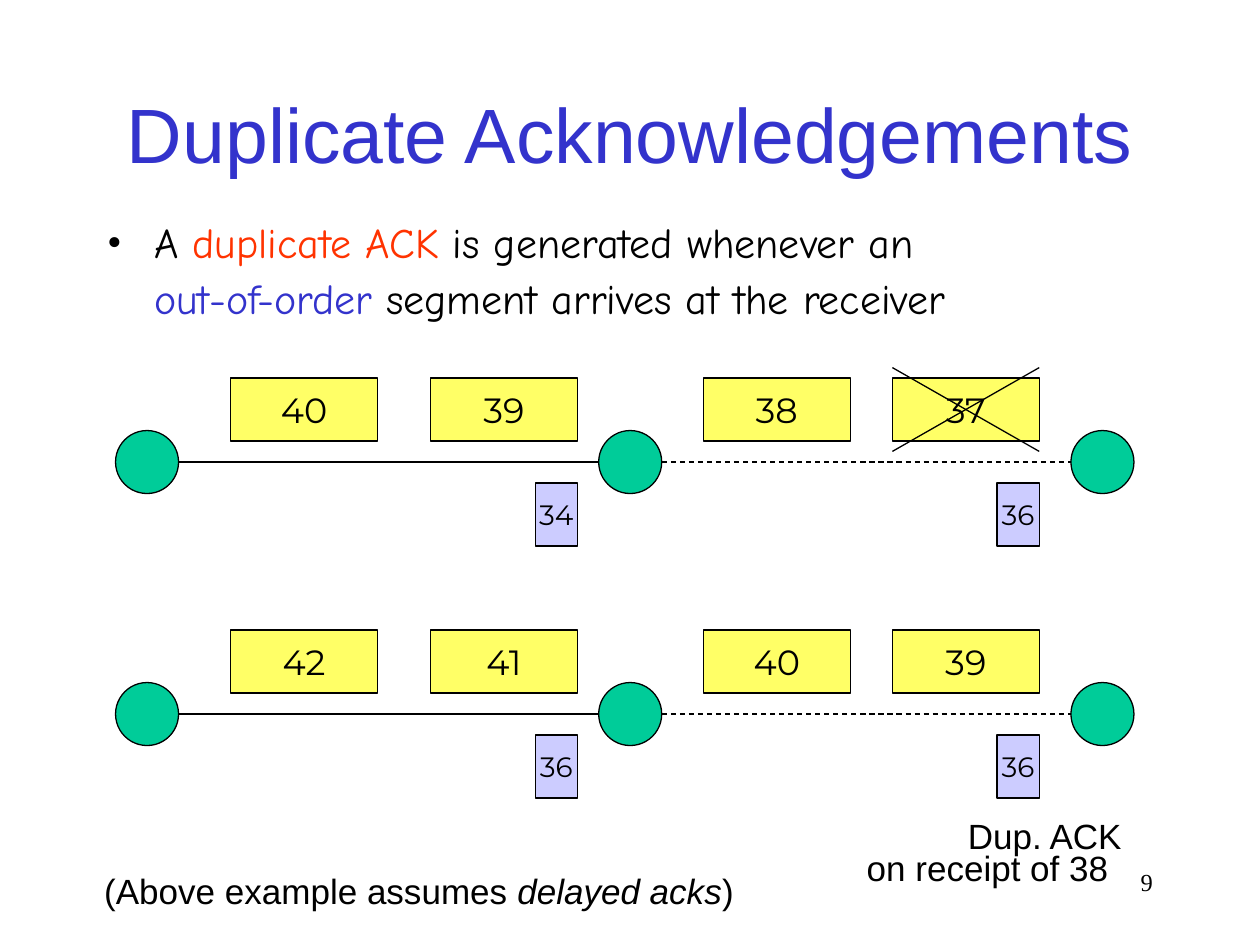
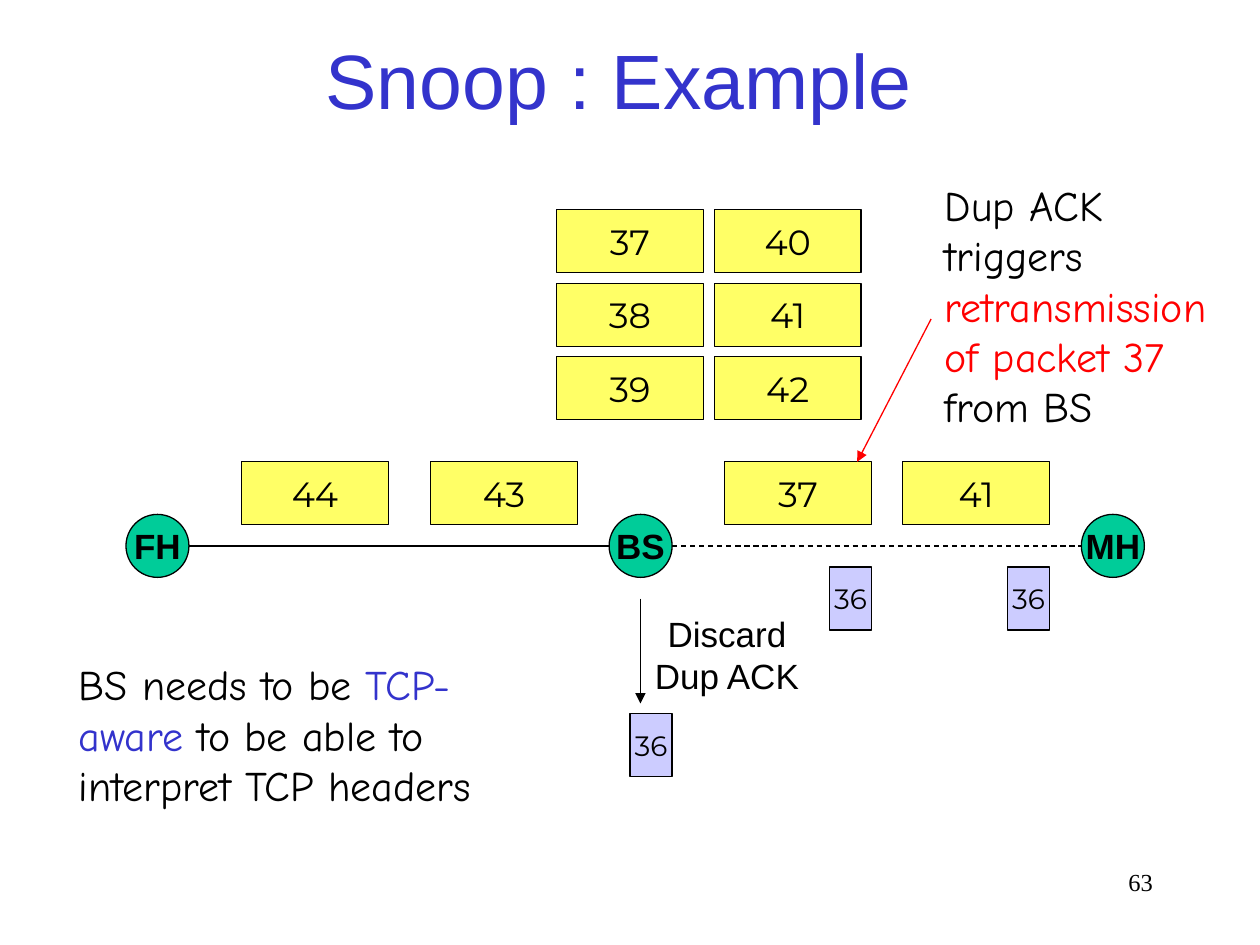
from pptx import Presentation
from pptx.dml.color import RGBColor
from pptx.enum.dml import MSO_LINE
from pptx.enum.shapes import MSO_CONNECTOR, MSO_SHAPE
from pptx.enum.text import MSO_ANCHOR, PP_ALIGN
from pptx.oxml.ns import qn
from pptx.util import Cm, Pt
from lxml import etree

LEFT, CENTER, RIGHT = PP_ALIGN.LEFT, PP_ALIGN.CENTER, PP_ALIGN.RIGHT
TOP, MIDDLE = MSO_ANCHOR.TOP, MSO_ANCHOR.MIDDLE
RECTANGLE, OVAL = MSO_SHAPE.RECTANGLE, MSO_SHAPE.OVAL
STRAIGHT, DASH = MSO_CONNECTOR.STRAIGHT, MSO_LINE.DASH

BLACK = RGBColor(0x00, 0x00, 0x00)
BLUE = RGBColor(0x33, 0x33, 0xCC)
ORANGE = RGBColor(0xFF, 0x33, 0x00)
RED = RGBColor(0xFF, 0x00, 0x00)
GREEN = RGBColor(0x00, 0xCC, 0x99)
YELLOW = RGBColor(0xFF, 0xFF, 0x66)
LILAC = RGBColor(0xCC, 0xCC, 0xFF)

# Text styles: font, size in points
TITLE = ("Arial", 44)
NOTE = ("Comic Neue", 24)
LABEL = ("Arial", 20)
PACKET = ("Montserrat", 20)
ACK = ("Montserrat", 16)
PAGE_NUMBER = ("Times New Roman", 14)

# Sizes in centimetres
SLIDE_W, SLIDE_H = 25.4, 19.05
NODE = 1.27
PACKET_W, PACKET_H = 2.96, 1.27
ACK_W = 0.85
NODE_OFFSETS = (0, 9.74, 19.26)
ROW_SHIFT = 1.06        # packets sit this far above the nodes, ACKs below
CROSS_MARGIN = 0.21

# Content: a paragraph is a list of (text, colour, italic) spans
DUPLICATE_TITLE = "Duplicate Acknowledgements"
DUPLICATE_BODY = [
    [("A ", BLACK, False), ("duplicate ACK ", ORANGE, False),
     ("is generated whenever an", BLACK, False)],
    [("out-of-order", BLUE, False),
     (" segment arrives at the receiver", BLACK, False)],
]
ASSUMPTION = [[("(Above example assumes ", BLACK, False),
               ("delayed acks", BLACK, True), (")", BLACK, False)]]

# A path: left, top, node names, packets as (left, number, ACK below or None)
DUPLICATE_PATHS = [
    (2.33, 8.68, ("", "", ""),
     [(4.65, "40", None), (8.68, "39", "34"), (14.18, "38", None), (17.99, "37", "36")]),
    (2.33, 13.76, ("", "", ""),
     [(4.65, "42", None), (8.68, "41", "36"), (14.18, "40", None), (17.99, "39", "36")]),
]
LOST_PACKET = (17.99, 7.62)

SNOOP_TITLE = "Snoop : Example"
SNOOP_PATH = (2.54, 10.37, ("FH", "BS", "MH"),
              [(4.87, "44", None), (8.68, "43", None), (14.61, "37", "36"), (18.2, "41", "36")])
CACHE_COLUMNS = [("37", "38", "39"), ("40", "41", "42")]
CACHE_LEFT, CACHE_TOP = 11.22, 4.23
CACHE_STEP_X, CACHE_STEP_Y = 3.18, 1.48
RETRANSMISSION = [[("Dup ACK triggers ", BLACK, False),
                   ("retransmission of packet 37", RED, False),
                   (" from BS", BLACK, False)]]
AWARENESS = [[("BS needs to be ", BLACK, False), ("TCP-aware", BLUE, False),
              (" to be able to interpret TCP headers", BLACK, False)]]


def plain(*lines, color=BLACK):
    return [[(line, color, False)] for line in lines]


def fill_text(frame, paragraphs, style, align, anchor, wrap, bold=False):
    font_name, size = style
    frame.word_wrap = wrap
    frame.vertical_anchor = anchor
    for index, spans in enumerate(paragraphs):
        para = frame.paragraphs[0] if index == 0 else frame.add_paragraph()
        para.alignment = align
        for text, color, italic in spans:
            span = para.add_run()
            span.text = text
            span.font.name = font_name
            span.font.size = Pt(size)
            span.font.color.rgb = color
            span.font.bold = bold
            span.font.italic = italic


def add_text(page, area, paragraphs, style, align=LEFT, anchor=TOP, wrap=True):
    box = page.shapes.add_textbox(*map(Cm, area))
    fill_text(box.text_frame, paragraphs, style, align, anchor, wrap)
    return box


def add_block(page, kind, area, color, text, style, bold=False):
    block = page.shapes.add_shape(kind, *map(Cm, area))
    block.shadow.inherit = False
    block.fill.solid()
    block.fill.fore_color.rgb = color
    block.line.color.rgb = BLACK
    block.line.width = Pt(0.75)
    if text:
        fill_text(block.text_frame, plain(text), style, CENTER, MIDDLE, False, bold)


def add_packet(page, left, top, number):
    add_block(page, RECTANGLE, (left, top, PACKET_W, PACKET_H), YELLOW, number, PACKET)


def add_ack(page, left, top, number):
    add_block(page, RECTANGLE, (left, top, ACK_W, PACKET_H), LILAC, number, ACK)


def add_line(page, x1, y1, x2, y2, color=BLACK, dashed=False, arrow=False):
    line = page.shapes.add_connector(STRAIGHT, Cm(x1), Cm(y1), Cm(x2), Cm(y2))
    line.line.color.rgb = color
    line.line.width = Pt(0.75)
    if dashed:
        line.line.dash_style = DASH
    if arrow:
        etree.SubElement(line.line._get_or_add_ln(), qn("a:tailEnd"), type="triangle")
    etree.SubElement(line._element.spPr, qn("a:effectLst"))


def add_path(page, left, top, names, packets):
    """Three nodes, a wired and a wireless link, packets above and ACKs below."""
    node_lefts = [left + offset for offset in NODE_OFFSETS]
    for node_left, name in zip(node_lefts, names):
        add_block(page, OVAL, (node_left, top, NODE, NODE), GREEN, name, LABEL, bold=True)
    link_y = top + NODE / 2
    for start, end, dashed in zip(node_lefts, node_lefts[1:], (False, True)):
        add_line(page, start + NODE, link_y, end, link_y, dashed=dashed)
    for packet_left, number, ack in packets:
        add_packet(page, packet_left, top - ROW_SHIFT, number)
        if ack:
            add_ack(page, packet_left + PACKET_W - ACK_W, top + ROW_SHIFT, ack)


def add_page(deck, title, title_area, number):
    page = deck.slides.add_slide(deck.slide_layouts[6])
    add_text(page, (18.2, 17.36, 5.29, 1.27), plain(number), PAGE_NUMBER, RIGHT)
    add_text(page, title_area, plain(title, color=BLUE), TITLE, CENTER, MIDDLE)
    return page


def add_bullet(para, indent):
    """Indent a paragraph by hanging it on a bullet."""
    props = para._p.get_or_add_pPr()
    props.set("indent", str(-indent))
    color = etree.SubElement(etree.SubElement(props, qn("a:buClr")), qn("a:srgbClr"))
    color.set("val", str(BLACK))
    etree.SubElement(props, qn("a:buFont"), typeface="Times New Roman")
    etree.SubElement(props, qn("a:buChar"), char="•")


def build_duplicate_page(deck):
    page = add_page(deck, DUPLICATE_TITLE, (1.91, 1.7, 21.59, 1.96), "9")

    # Statement: one bullet, with its second line aligned to the text
    body = add_text(page, (1.91, 4.35, 21.59, 2.41), DUPLICATE_BODY, NOTE)
    indent = Cm(0.95)
    for para in body.text_frame.paragraphs:
        para.line_spacing = 0.9
        para.space_before = Pt(6)
        para._p.get_or_add_pPr().set("marL", str(indent))
    add_bullet(body.text_frame.paragraphs[0], indent)

    # Two moments of the same path
    for path_data in DUPLICATE_PATHS:
        add_path(page, *path_data)

    # Cross over the lost packet
    left, top = LOST_PACKET
    high, low = top - CROSS_MARGIN, top + PACKET_H + CROSS_MARGIN
    for start, end in ((high, low), (low, high)):
        add_line(page, left, start, left + PACKET_W, end)

    # Remarks
    add_text(page, (19.26, 16.3, 3.8, 1.12), plain("Dup. ACK"), LABEL, wrap=False)
    add_text(page, (1.85, 17.4, 13.6, 1.12), ASSUMPTION, LABEL, wrap=False)
    add_text(page, (17.12, 16.93, 5.58, 1.12), plain("on receipt of 38"), LABEL,
             CENTER, MIDDLE, wrap=False)


def build_snoop_page(deck):
    page = add_page(deck, SNOOP_TITLE, (1.68, 0, 21.59, 3.18), "63")
    add_path(page, *SNOOP_PATH)

    # Packets cached at the base station
    for column, numbers in enumerate(CACHE_COLUMNS):
        for row, number in enumerate(numbers):
            add_packet(page, CACHE_LEFT + column * CACHE_STEP_X,
                       CACHE_TOP + row * CACHE_STEP_Y, number)

    # Discarded ACK
    add_ack(page, 12.7, 14.39, "36")
    add_text(page, (12.93, 12.22, 3.45, 1.96), plain("Discard", "Dup ACK"), LABEL,
             CENTER, MIDDLE, wrap=False)
    add_line(page, 12.91, 12.07, 12.91, 14.18, arrow=True)

    # Notes
    add_text(page, (18.8, 3.49, 6.6, 5.33), RETRANSMISSION, NOTE)
    add_text(page, (1.34, 13.16, 8.81, 3.3), AWARENESS, NOTE)
    add_line(page, 18.77, 6.43, 17.28, 9.31, color=RED, arrow=True)


def main():
    deck = Presentation()
    deck.slide_width, deck.slide_height = Cm(SLIDE_W), Cm(SLIDE_H)
    build_duplicate_page(deck)
    build_snoop_page(deck)
    deck.save("out.pptx")


if __name__ == "__main__":
    main()
